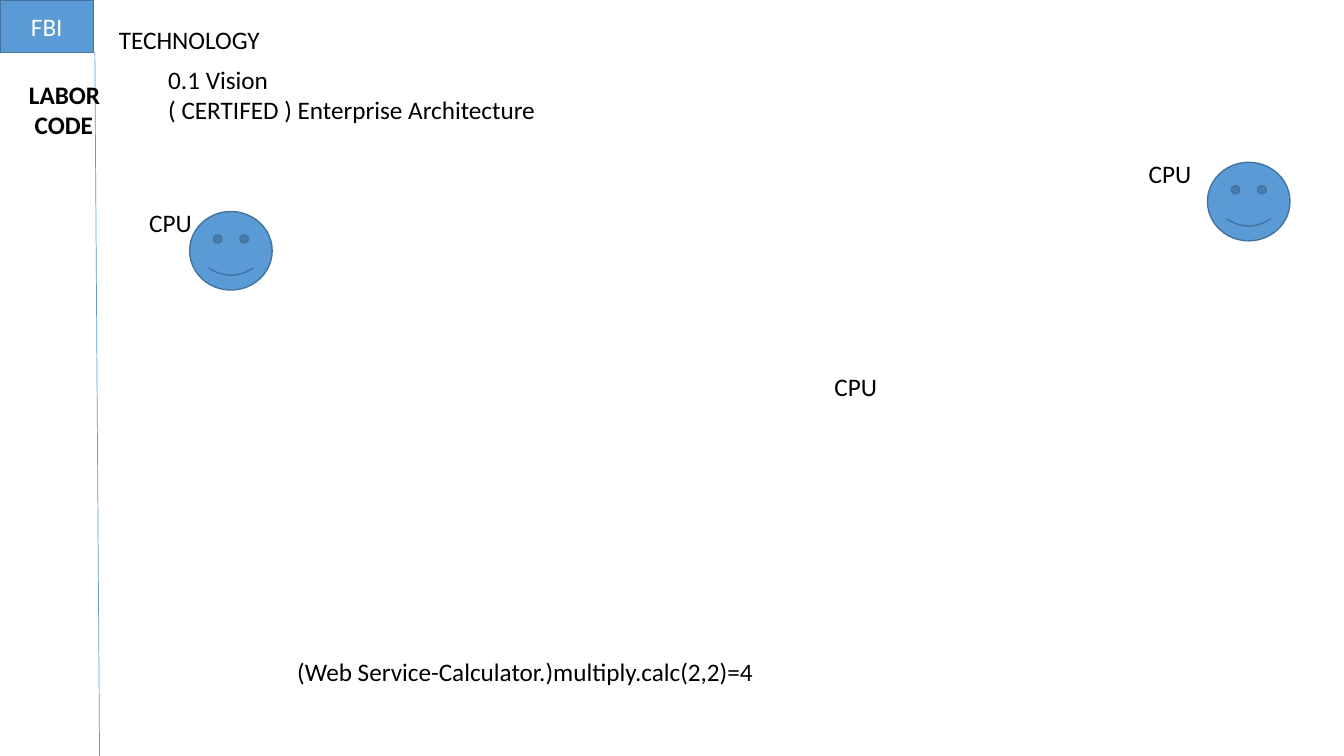
import pptx
import pptx.util
import pptx.dml.color
import pptx.enum.shapes
import pptx.enum.text
import pptx.oxml.ns
import lxml.etree

Cm = pptx.util.Cm
Pt = pptx.util.Pt

COLORS = {"blue": "5B9BD5", "outline": "43739E", "black": "000000", "white": "FFFFFF"}
FONT = "Calibri"

TITLE = ("TECHNOLOGY", (2.74, 0.48, 4.09, 1.02))
AGENCY = ("FBI", (0, 0, 2.36, 1.32))
DIVIDER = (2.39, 1.32, 2.51, 19.05)
LABELS = [
    (["0.1 Vision", "( CERTIFED ) Enterprise Architecture"], (3.99, 1.5, 10.21, 1.8), False),
    (["LABOR", " CODE"], (0.48, 1.88, 2.34, 1.8), True),
    (["(Web Service-Calculator.)multiply.calc(2,2)=4"], (7.24, 16.41, 12.04, 1.02), False),
]
CPU_SIZE = (1.6, 1.02)
CPU_POSITIONS = [(20.78, 9.22), (28.7, 3.86), (3.51, 5.11)]
FACE_SIZE = (2.08, 1.98)
FACE_POSITIONS = [(30.43, 4.09), (4.78, 5.33)]


def color(name):
    return pptx.dml.color.RGBColor.from_string(COLORS[name])


def write_text(shape, lines, *, ink="black", bold=False, centered=False):
    frame = shape.text_frame
    frame.word_wrap = centered
    frame.auto_size = pptx.enum.text.MSO_AUTO_SIZE.NONE
    anchors = pptx.enum.text.MSO_ANCHOR
    frame.vertical_anchor = anchors.MIDDLE if centered else anchors.TOP
    frame.text = "\n".join(lines)
    alignments = pptx.enum.text.PP_ALIGN
    for paragraph in frame.paragraphs:
        paragraph.alignment = alignments.CENTER if centered else alignments.LEFT
        paragraph.font.name = FONT
        paragraph.font.size = Pt(18)
        paragraph.font.bold = bold
        paragraph.font.color.rgb = color(ink)


def add_label(slide, lines, box, bold=False):
    shape = slide.shapes.add_textbox(*map(Cm, box))
    write_text(shape, lines, bold=bold)


def add_blue_shape(slide, kind, box):
    shape = slide.shapes.add_shape(kind, *map(Cm, box))
    shape.shadow.inherit = False
    shape.fill.solid()
    shape.fill.fore_color.rgb = color("blue")
    shape.line.color.rgb = color("outline")
    shape.line.width = Pt(1)
    return shape


def add_divider(slide):
    straight = pptx.enum.shapes.MSO_CONNECTOR.STRAIGHT
    connector = slide.shapes.add_connector(straight, *map(Cm, DIVIDER))
    connector.line.color.rgb = color("blue")
    connector.line.width = Pt(0.5)
    properties = connector._element.spPr
    lxml.etree.SubElement(properties, pptx.oxml.ns.qn("a:effectLst"))


def main():
    presentation = pptx.Presentation()
    presentation.slide_width = Cm(33.87)
    presentation.slide_height = Cm(19.05)
    slide = presentation.slides.add_slide(presentation.slide_layouts[5])
    shape_kinds = pptx.enum.shapes.MSO_SHAPE

    title_text, title_box = TITLE
    title = slide.shapes.title
    title.left, title.top, title.width, title.height = map(Cm, title_box)
    write_text(title, [title_text])

    agency_text, agency_box = AGENCY
    agency = add_blue_shape(slide, shape_kinds.RECTANGLE, agency_box)
    write_text(agency, [agency_text], ink="white", centered=True)
    add_divider(slide)

    for position in FACE_POSITIONS:
        add_blue_shape(slide, shape_kinds.SMILEY_FACE, position + FACE_SIZE)
    for lines, box, bold in LABELS:
        add_label(slide, lines, box, bold)
    for position in CPU_POSITIONS:
        add_label(slide, ["CPU"], position + CPU_SIZE)

    presentation.save("out.pptx")


if __name__ == "__main__":
    main()
